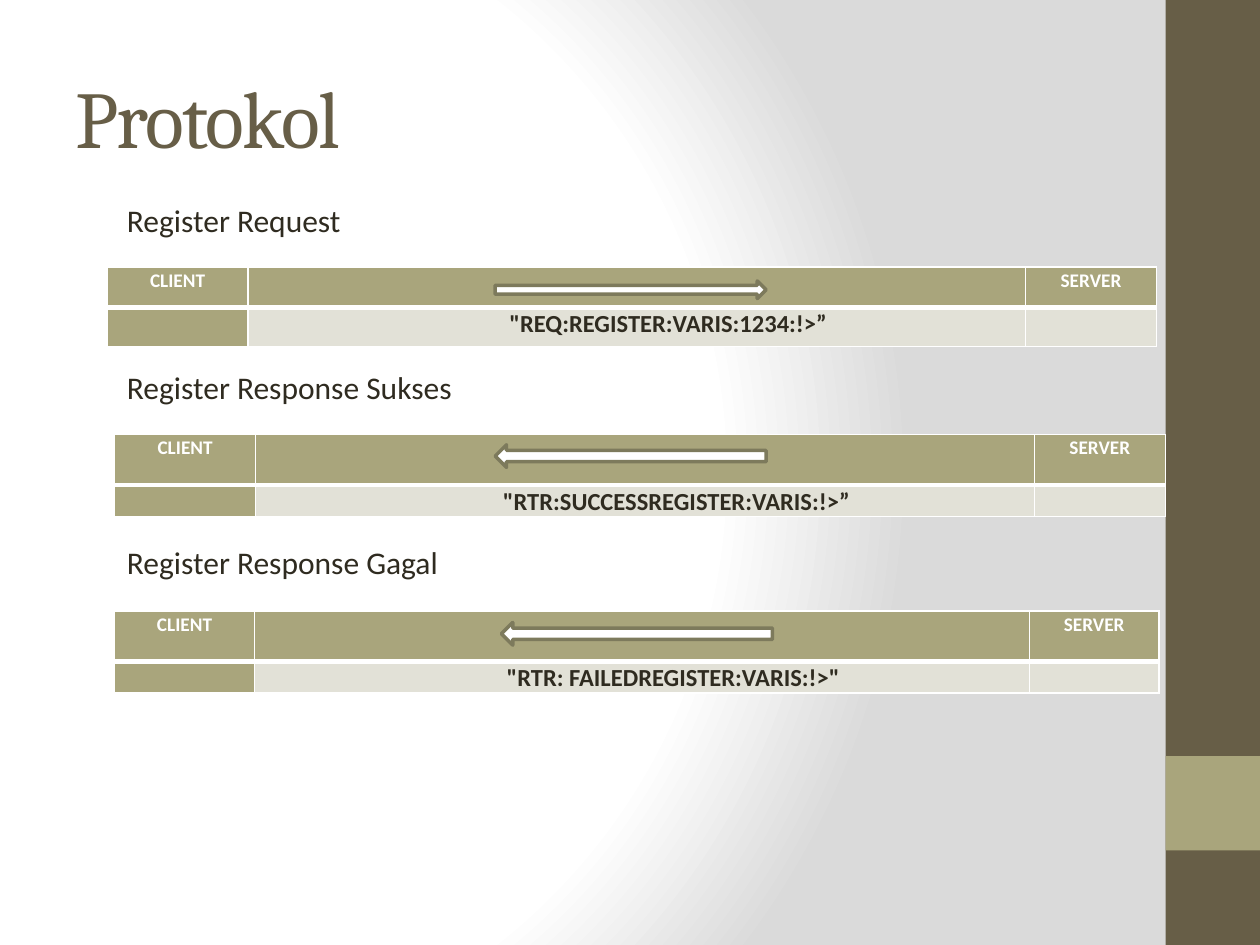
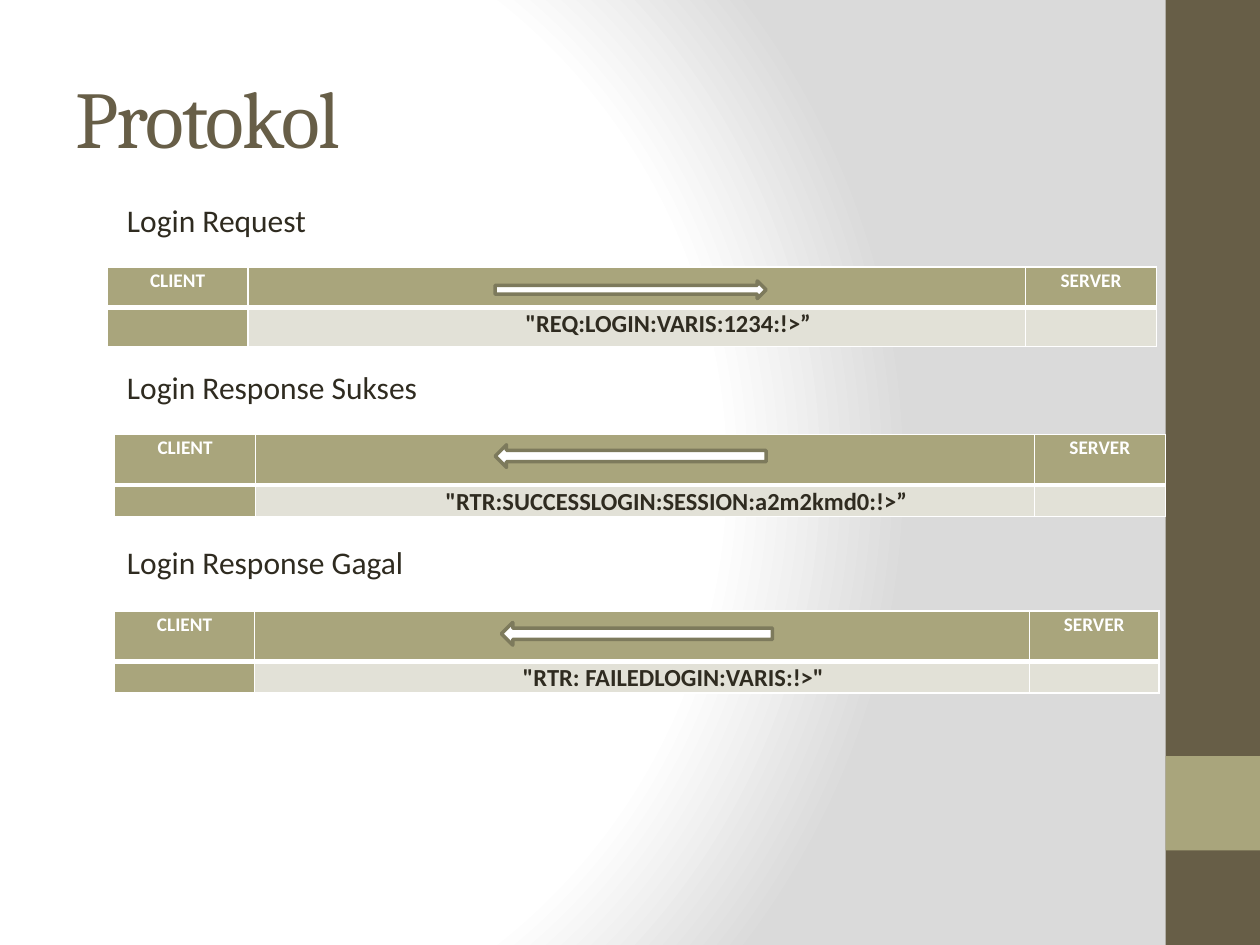
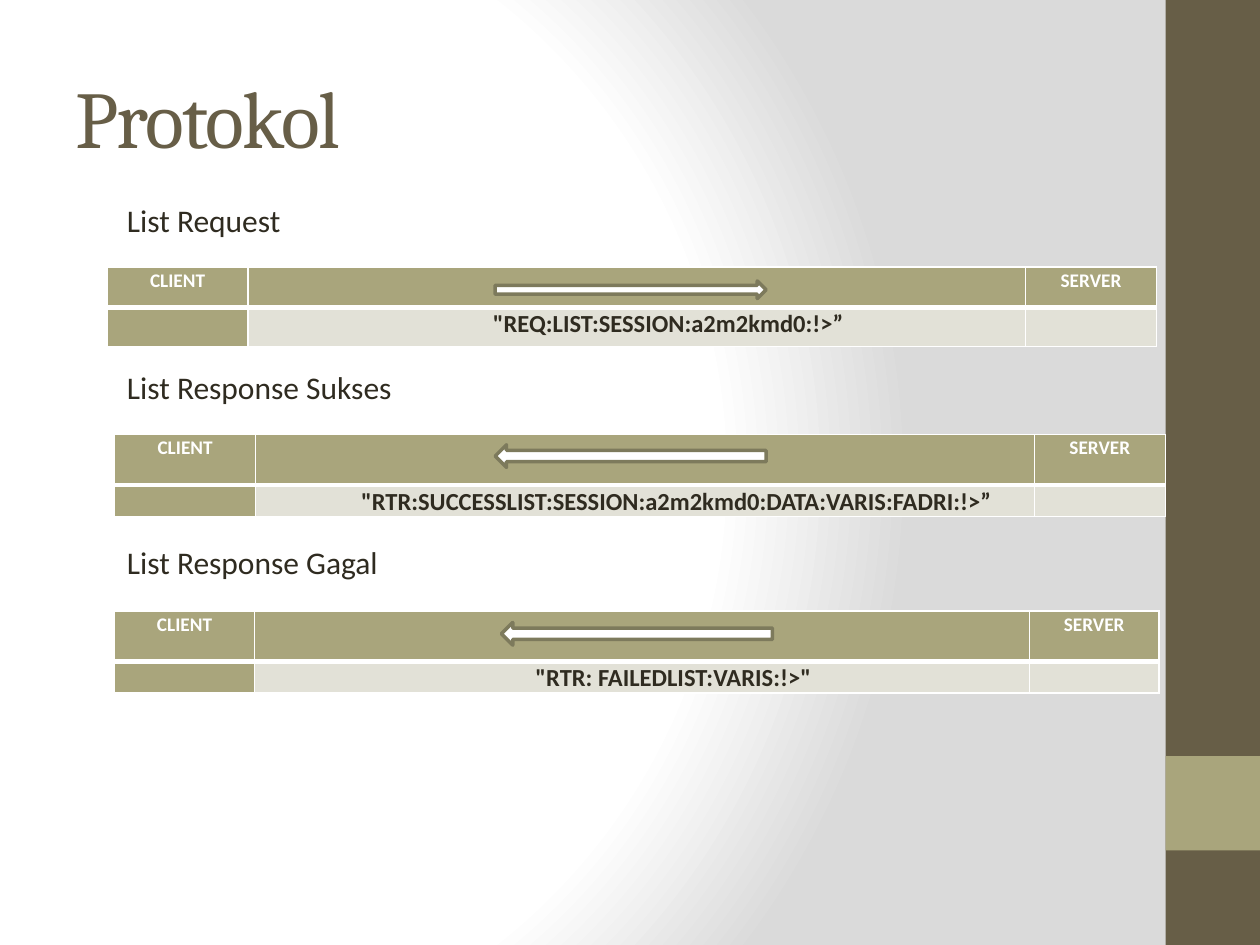
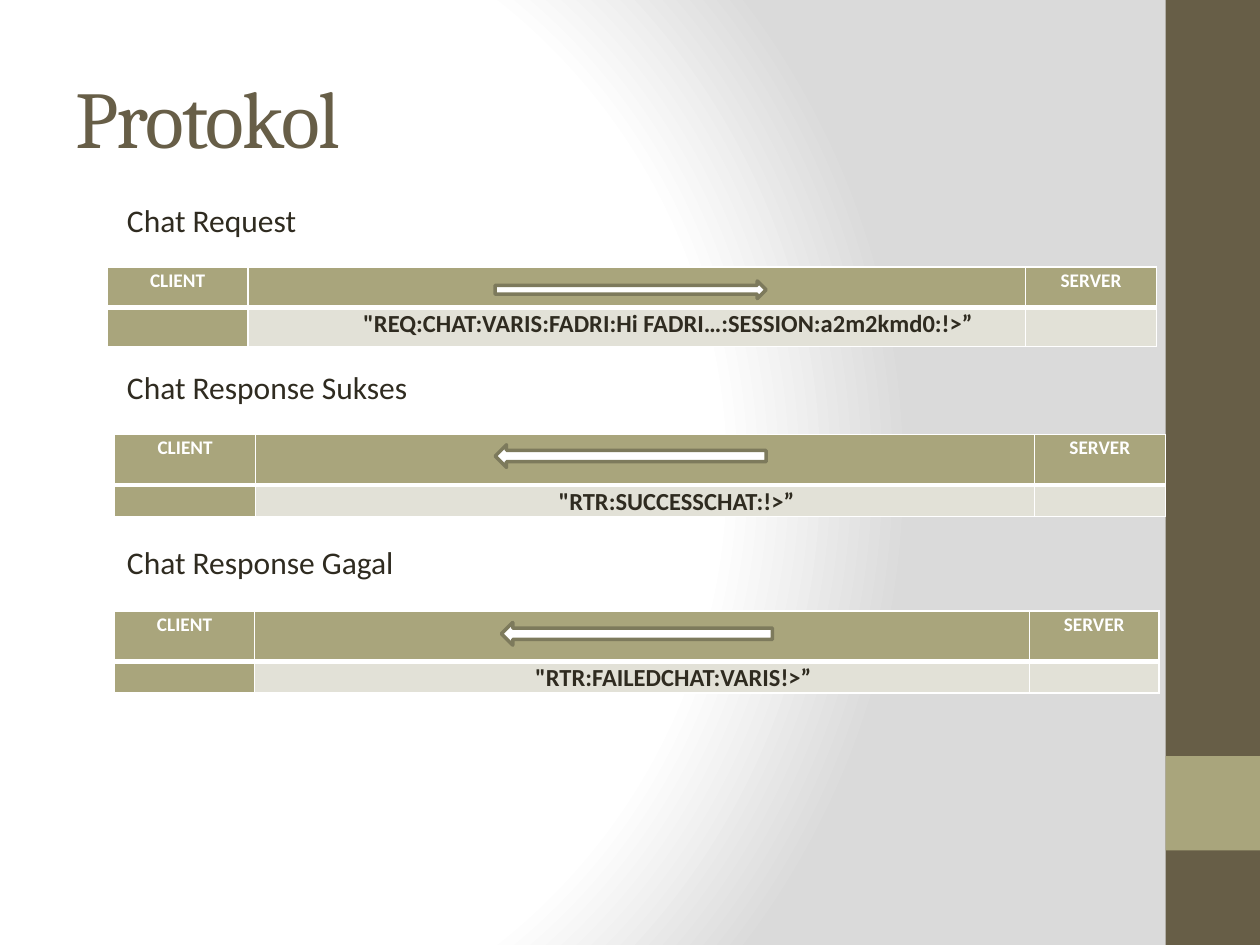
from lxml import etree
from pptx import Presentation
from pptx.dml.color import RGBColor
from pptx.enum.shapes import MSO_SHAPE
from pptx.enum.text import MSO_ANCHOR, MSO_AUTO_SIZE, PP_ALIGN
from pptx.oxml import parse_xml
from pptx.oxml.ns import nsdecls, qn
from pptx.util import Inches, Pt

RECT = MSO_SHAPE.RECTANGLE
RIGHT = MSO_SHAPE.RIGHT_ARROW
LEFT = MSO_SHAPE.LEFT_ARROW
MIDDLE = MSO_ANCHOR.MIDDLE
GROW = MSO_AUTO_SIZE.SHAPE_TO_FIT_TEXT
CENTER = PP_ALIGN.CENTER

WHITE = RGBColor(0xFF, 0xFF, 0xFF)
GREY = RGBColor(0xDA, 0xDA, 0xDA)
BROWN = RGBColor(0x67, 0x5E, 0x47)
OLIVE = RGBColor(0xA9, 0xA5, 0x7C)
PALE = RGBColor(0xE2, 0xE1, 0xD7)
EDGE = RGBColor(0x7D, 0x7A, 0x5C)
INK = RGBColor(0x2F, 0x2B, 0x20)

TOPICS = [
    ("Register", [
        '"REQ:REGISTER:VARIS:1234:!>”',
        '"RTR:SUCCESSREGISTER:VARIS:!>”',
        '"RTR: FAILEDREGISTER:VARIS:!>"']),
    ("Login", [
        '"REQ:LOGIN:VARIS:1234:!>”',
        '"RTR:SUCCESSLOGIN:SESSION:a2m2kmd0:!>”',
        '"RTR: FAILEDLOGIN:VARIS:!>"']),
    ("List", [
        '"REQ:LIST:SESSION:a2m2kmd0:!>”',
        '"RTR:SUCCESSLIST:SESSION:a2m2kmd0:DATA:VARIS:FADRI:!>”',
        '"RTR: FAILEDLIST:VARIS:!>"']),
    ("Chat", [
        '"REQ:CHAT:VARIS:FADRI:Hi FADRI…:SESSION:a2m2kmd0:!>”',
        '"RTR:SUCCESSCHAT:!>”',
        '"RTR:FAILEDCHAT:VARIS!>”']),
]

PARTS = [
    ("Request", 1.55, (0.85, 2.12), (1.12, 6.17, 1.04), (0.32, 0.31),
     RIGHT, (3.93, 2.23, 2.15, 0.14)),
    ("Response Sukses", 2.87, (0.91, 3.45), (1.12, 6.18, 1.04), (0.4, 0.25),
     LEFT, (3.93, 3.53, 2.15, 0.18)),
    ("Response Gagal", 4.26, (0.91, 4.85), (1.11, 6.15, 1.03), (0.4, 0.25),
     LEFT, (3.98, 4.94, 2.15, 0.18)),
]


def add_shape(slide, kind, box, color):
    shape = slide.shapes.add_shape(kind, *map(Inches, box))
    shape.shadow.inherit = False
    shape.fill.solid()
    shape.fill.fore_color.rgb = color
    shape.line.fill.background()
    return shape


def style(para, font, size, color, bold=False):
    for run in para.runs:
        run.font.name = font
        run.font.size = Pt(size)
        run.font.color.rgb = color
        run.font.bold = bold


prs = Presentation()
prs.slide_width = Inches(10)
prs.slide_height = Inches(7.5)
blank = prs.slide_layouts[6]

blank.background.fill.solid()
back = blank.background._cSld.bg.bgPr
stops = "".join(
    f'<a:gs pos="{pos * 1000}"><a:srgbClr val="{color}"/></a:gs>'
    for pos, color in ((0, WHITE), (75, WHITE), (100, GREY)))
back.replace(back[0], parse_xml(
    f'<a:gradFill {nsdecls("a")} rotWithShape="1"><a:gsLst>{stops}</a:gsLst>'
    '<a:path path="circle">'
    '<a:fillToRect l="20000" t="50000" r="100000" b="50000"/>'
    '</a:path></a:gradFill>'))

slides = [prs.slides.add_slide(blank) for topic in TOPICS]
for box, color in (((9.25, 0, 0.75, 7.5), BROWN), ((9.25, 6, 0.75, 0.75), OLIVE)):
    band = add_shape(slides[0], RECT, box, color)
    blank.shapes._spTree.append(band._element)

for slide, (topic, codes) in zip(slides, TOPICS):
    title = slide.shapes.add_textbox(Inches(0.5), Inches(0.3), Inches(8.33), Inches(1.25))
    frame = title.text_frame
    frame.word_wrap = True
    frame.vertical_anchor = MIDDLE
    frame.text = "Protokol"
    para = frame.paragraphs[0]
    style(para, "Cambria", 46, BROWN)
    para.runs[0]._r.get_or_add_rPr().set("spc", "-100")

    for code, (part, top, spot, cols, rows, kind, box) in zip(codes, PARTS):
        label = slide.shapes.add_textbox(Inches(0.91), Inches(top), Inches(3.03), Inches(0.4))
        frame = label.text_frame
        frame.word_wrap = True
        frame.auto_size = GROW
        frame.text = f"{topic} {part}"
        style(frame.paragraphs[0], "Calibri", 18, INK)

        size = sum(cols), sum(rows)
        table = slide.shapes.add_table(2, 3, *map(Inches, spot + size)).table
        for col, width in zip(table.columns, cols):
            col.width = Inches(width)
        for row, height in zip(table.rows, rows):
            row.height = Inches(height)

        texts = (("CLIENT", "", "SERVER"), ("", code, ""))
        for r, line in enumerate(texts):
            for c, text in enumerate(line):
                cell = table.cell(r, c)
                cell.margin_left = cell.margin_right = Inches(0.07)
                cell.margin_top = cell.margin_bottom = 0
                cell.text = text
                para = cell.text_frame.paragraphs[0]
                para.alignment = CENTER
                para.line_spacing = 1.07
                if text == code:
                    style(para, "Calibri", 14, INK, True)
                    para._p.get_or_add_pPr().set("marL", str(Inches(0.5)))
                elif text:
                    style(para, "Calibri", 11, WHITE, True)
                else:
                    etree.SubElement(para._p, qn("a:endParaRPr"), sz="1100")

                props = cell._tc.get_or_add_tcPr()
                thick = "lnT" if r else "lnB"
                for side in ("lnL", "lnR", "lnT", "lnB"):
                    weight = Pt(3 if side == thick else 1)
                    props.append(parse_xml(
                        f'<a:{side} {nsdecls("a")} w="{weight}"><a:solidFill>'
                        f'<a:srgbClr val="{WHITE}"/></a:solidFill></a:{side}>'))
                cell.fill.solid()
                cell.fill.fore_color.rgb = PALE if r and c else OLIVE

        arrow = add_shape(slide, kind, box, WHITE)
        arrow.line.color.rgb = EDGE
        arrow.line.width = Pt(2)

prs.save("out.pptx")
